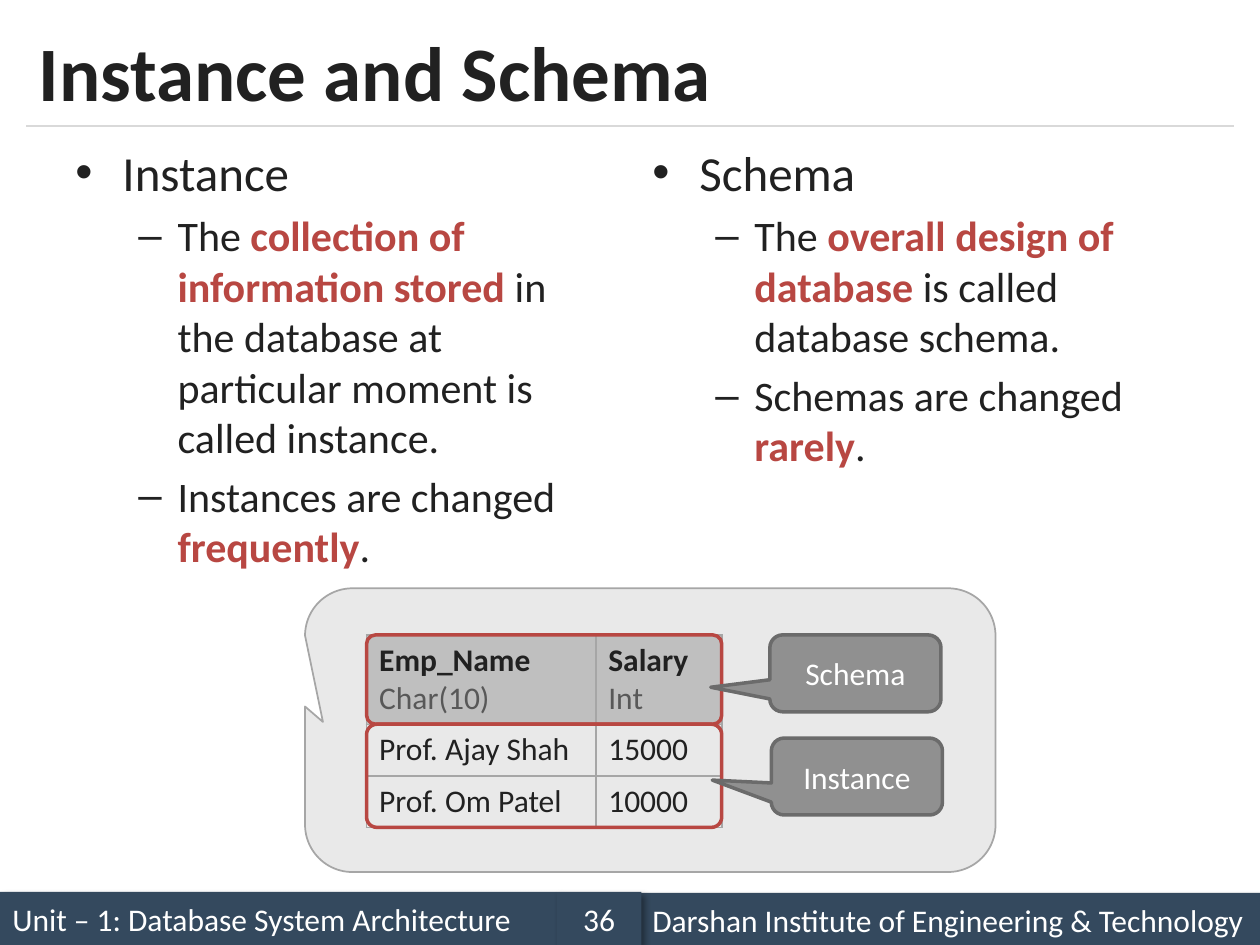
from lxml import etree
from pptx import Presentation
from pptx.dml.color import RGBColor
from pptx.enum.shapes import MSO_CONNECTOR, MSO_SHAPE
from pptx.enum.text import MSO_ANCHOR, PP_ALIGN
from pptx.oxml.ns import qn
from pptx.util import Cm, Pt

FONT = "Calibri"
LEFT, CENTER = PP_ALIGN.LEFT, PP_ALIGN.CENTER
MIDDLE, TOP = MSO_ANCHOR.MIDDLE, MSO_ANCHOR.TOP
RECT, ROUNDED = MSO_SHAPE.RECTANGLE, MSO_SHAPE.ROUNDED_RECTANGLE
CALLOUT = MSO_SHAPE.ROUNDED_RECTANGULAR_CALLOUT
COLORS = {
    "ink": "212121", "accent": "B84742", "type": "585858", "white": "FFFFFF",
    "footer": "34495E", "rule": "D9D9D9", "panel": "E9E9E9", "border": "A6A6A6",
    "header": "BFBFBF", "label": "909090", "label_edge": "6B6B6B",
}

# Content: lengths in cm; (text, emphasised) runs
TITLE = "Instance and Schema"
COLUMNS = [
    (1.27, 9.1, "Instance", [
        [("The ", False), ("collection of information stored ", True),
         ("in the database at particular moment is called instance.", False)],
        [("Instances are changed ", False), ("frequently", True), (".", False)],
    ]),
    (12.9, 7.42, "Schema", [
        [("The ", False), ("overall design of database ", True),
         ("is called database schema.", False)],
        [("Schemas are changed ", False), ("rarely", True), (".", False)],
    ]),
]
LEVELS = [  # bullet, size, left margin, hanging indent
    ("•", 28, 0.95, 0.95),
    ("–", 24, 2.06, 0.79),
]
FOOTERS = [  # text, left, top, width, alignment
    ("Unit – 1: Database System Architecture", 0, 17.98, 11.23, LEFT),
    ("Darshan Institute of Engineering & Technology", 12.9, 18, 12.5, LEFT),
    ("36", 11.23, 17.98, 1.7, CENTER),
]
FIELDS = [("Emp_Name", "Char(10)"), ("Salary", "Int")]
RECORDS = [("Prof. Ajay Shah", "15000"), ("Prof. Om Patel", "10000")]
LABELS = [  # text, left, top, pointer
    ("Schema", 15.52, 12.8, (-0.845, 0.181)),
    ("Instance", 15.55, 14.88, (-0.845, 0.047)),
]
TABLE_LEFT, TABLE_TOP = 7.39, 12.8
COLUMN_WIDTHS = (4.62, 2.54)
HEADER_HEIGHT, RECORD_HEIGHT = 1.8, 1.04


def color(name):
    return RGBColor.from_string(COLORS[name])


def style(font, size, ink="ink", bold=False):
    font.name, font.size, font.bold = FONT, Pt(size), bold
    font.color.rgb = color(ink)


def add_box(kind, left, top, width, height, fill=None, line=None, weight=1, adjust=()):
    box = slide.shapes.add_shape(kind, Cm(left), Cm(top), Cm(width), Cm(height))
    box.shadow.inherit = False
    for i, value in enumerate(adjust):
        box.adjustments[i] = value
    if fill:
        box.fill.solid()
        box.fill.fore_color.rgb = color(fill)
    else:
        box.fill.background()
    if line:
        box.line.color.rgb = color(line)
        box.line.width = Pt(weight)
    else:
        box.line.fill.background()
    return box


def write(box, text, align):
    frame = box.text_frame
    frame.word_wrap = True
    frame.vertical_anchor = MIDDLE
    paragraph = frame.paragraphs[0]
    paragraph.text, paragraph.alignment = text, align
    style(paragraph.font, 18, "white")


def drop_shadow(box):
    effects = box._element.spPr.find(qn("a:effectLst"))
    shadow = etree.SubElement(effects, qn("a:outerShdw"), blurRad=str(Pt(4)),
                              dist=str(Pt(3)), dir="2700000", algn="tl", rotWithShape="0")
    black = etree.SubElement(shadow, qn("a:srgbClr"), val="000000")
    etree.SubElement(black, qn("a:alpha"), val="40000")


def add_item(frame, level, runs, first=False):
    bullet, size, margin, hang = LEVELS[level]
    paragraph = frame.paragraphs[0] if first else frame.add_paragraph()
    paragraph.level = level
    props = paragraph._p.get_or_add_pPr()
    props.set("marL", str(Cm(margin)))
    props.set("indent", str(-Cm(hang)))
    etree.SubElement(props, qn("a:buFont"), typeface="Arial")
    etree.SubElement(props, qn("a:buChar"), char=bullet)
    if not first:
        paragraph.space_before = Pt(size * 0.2)
    for text, emphasised in runs:
        run = paragraph.add_run()
        run.text = text
        style(run.font, size, "accent" if emphasised else "ink", emphasised)


def add_row(top, height, cells, fill=None):
    table = slide.shapes.add_table(1, len(cells), Cm(TABLE_LEFT), Cm(top),
                                   Cm(sum(COLUMN_WIDTHS)), Cm(height)).table
    table.first_row = table.horz_banding = False
    for i, (width, lines) in enumerate(zip(COLUMN_WIDTHS, cells)):
        table.columns[i].width = Cm(width)
        cell = table.cell(0, i)
        cell.text = "\n".join(text for text, _, _ in lines)
        for paragraph, (_, ink, bold) in zip(cell.text_frame.paragraphs, lines):
            style(paragraph.font, 18, ink, bold)
        props = cell._tc.get_or_add_tcPr()
        for side in ("a:lnL", "a:lnR", "a:lnT", "a:lnB"):
            edge = etree.SubElement(props, qn(side), w=str(Pt(1)))
            paint = etree.SubElement(edge, qn("a:solidFill"))
            etree.SubElement(paint, qn("a:srgbClr"), val=COLORS["border"])
        if fill:
            cell.fill.solid()
            cell.fill.fore_color.rgb = color(fill)
        else:
            cell.fill.background()


def add_outline(top, height):
    add_box(ROUNDED, TABLE_LEFT, top, sum(COLUMN_WIDTHS), height,
            line="accent", weight=2, adjust=(0.1,))


prs = Presentation()
prs.slide_width, prs.slide_height = Cm(25.4), Cm(19.05)
slide = prs.slides.add_slide(prs.slide_layouts[5])

# Footer and title rule
for text, left, top, width, align in FOOTERS:
    footer = add_box(RECT, left, top, width, 1.07, "footer")
    write(footer, text, align)
    drop_shadow(footer)
rule = slide.shapes.add_connector(MSO_CONNECTOR.STRAIGHT, Cm(0.53), Cm(2.54), Cm(24.87), Cm(2.54))
rule.line.color.rgb = color("rule")
rule.line.width = Pt(0.75)
etree.SubElement(rule._element.spPr, qn("a:effectLst"))

# Title
title = slide.shapes.title
title.left, title.top, title.width, title.height = Cm(0.53), Cm(0.3), Cm(24.34), Cm(2.24)
title.text_frame.text = TITLE
title.text_frame.vertical_anchor = MIDDLE
heading = title.text_frame.paragraphs[0]
heading.alignment = LEFT
style(heading.font, 44, bold=True)

# Definitions
for left, height, term, points in COLUMNS:
    frame = slide.shapes.add_textbox(Cm(left), Cm(2.75), Cm(11.23), Cm(height)).text_frame
    frame.word_wrap = True
    frame.vertical_anchor = TOP
    add_item(frame, 0, [(term, False)], first=True)
    for runs in points:
        add_item(frame, 1, runs)

# Example: schema row, then instance rows
add_box(CALLOUT, 6.15, 11.86, 13.92, 5.72, "panel", "border", adjust=(-0.474, -0.029, 0.167))
add_row(TABLE_TOP, HEADER_HEIGHT,
        [[(name, "ink", True), (kind, "type", False)] for name, kind in FIELDS], "header")
records_top = TABLE_TOP + HEADER_HEIGHT
for i, record in enumerate(RECORDS):
    add_row(records_top + i * RECORD_HEIGHT, RECORD_HEIGHT,
            [[(value, "ink", False)] for value in record])
add_outline(TABLE_TOP, HEADER_HEIGHT)
add_outline(records_top, RECORD_HEIGHT * len(RECORDS))
for text, left, top, pointer in LABELS:
    label = add_box(CALLOUT, left, top, 3.45, 1.55, "label", "label_edge", 2, (*pointer, 0.167))
    write(label, text, CENTER)

prs.save("out.pptx")
